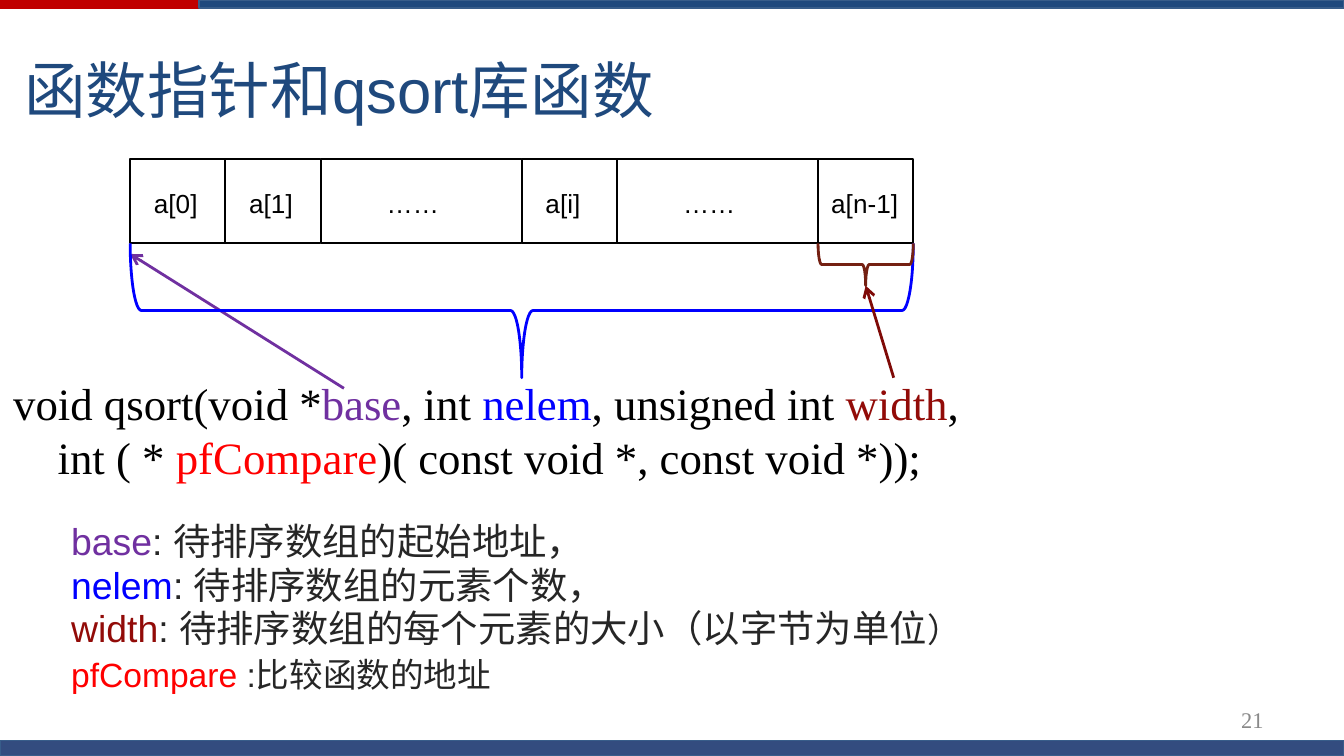
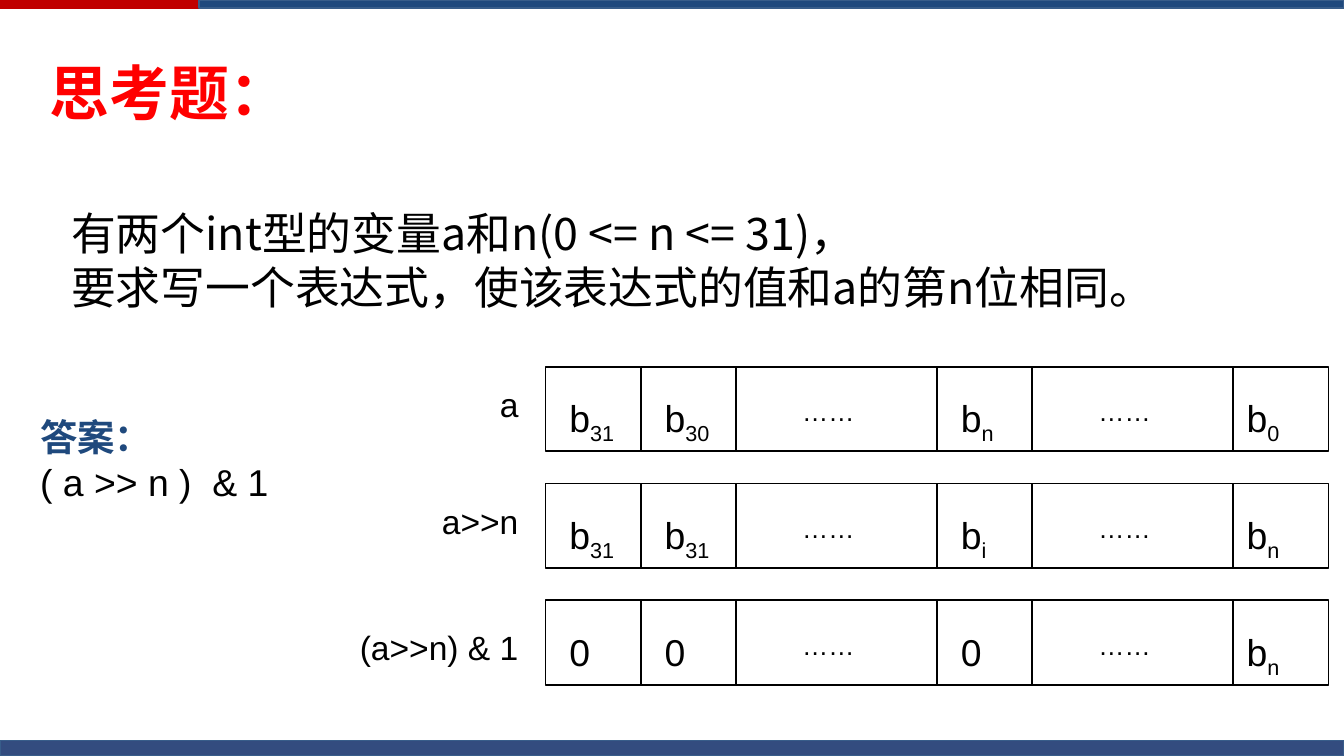
"""Build two lecture slides: qsort with function pointers, and a bit-shift exercise."""
from dataclasses import dataclass

from lxml.etree import SubElement
from pptx import Presentation
from pptx.dml.color import RGBColor
from pptx.enum.shapes import MSO_CONNECTOR as Link, MSO_SHAPE as Preset
from pptx.enum.text import MSO_ANCHOR as Anchor, MSO_AUTO_SIZE as Fit, PP_ALIGN as Align
from pptx.oxml.ns import qn
from pptx.util import Cm, Pt


@dataclass(frozen=True)
class Theme:
    navy: str = "1F497D"
    edge: str = "385D8A"
    crimson: str = "C00000"
    footer: str = "002060"
    ink: str = "000000"
    soft: str = "262626"
    grey: str = "898989"
    paper: str = "FFFFFF"
    red: str = "FF0000"
    base: str = "7030A0"
    nelem: str = "0000FF"
    width: str = "920B08"
    width_brace: str = "742012"
    width_arrow: str = "7F0A07"
    sans: str = "Arial"
    serif: str = "Times New Roman"
    cjk: str = "Noto Sans CJK SC"
    title: int = 33
    exercise: int = 32
    large: int = 24
    body: int = 20
    label: int = 18
    cell: int = 14
    page: int = 12


T = Theme()

BANDS = [
    ((0, 0, 25.4, 0.17), T.crimson, None),
    ((3.76, 0, 21.64, 0.15), T.navy, None),
    ((0, 14, 25.4, 0.29), T.footer, 80),
]

QSORT_TITLE = "函数指针和qsort库函数"
ARRAY = ["a[0]", "a[1]", "……", "a[i]", "……", "a[n-1]"]
PROTOTYPE = [
    [("void qsort(void *", T.ink), ("base", T.base), (", int ", T.ink), ("nelem", T.nelem),
     (", unsigned int ", T.ink), ("width", T.width), (",", T.ink)],
    [("int ( * ", T.ink), ("pfCompare", T.red), (")( const void *, const void *));", T.ink)],
]
PARAMETERS = [
    [("base", T.base), (": 待排序数组的起始地址，", T.soft)],
    [("nelem", T.nelem), (": 待排序数组的元素个数，", T.soft)],
    [("width", T.width), (": 待排序数组的每个元素的大小（以字节为单位", T.soft),
     ("）", T.soft, T.label)],
    [("pfCompare ", T.red, T.label), (":比较函数的地址", T.soft, T.label)],
]
PAGE = "21"

EXERCISE_TITLE = "思考题："
QUESTION = [
    [("有两个int型的变量a和n(0 <= n <= 31)，", T.ink)],
    [("要求写一个表达式，使该表达式的值和a的第n位相同。", T.ink)],
]
ANSWER_HEAD, ANSWER = "答案：", "( a >> n )  & 1"
BIT_ROWS = [
    ("a", 0.2, ["b_31", "b_30", "……", "b_n", "……", "b_0"]),
    ("a>>n", 0.2, ["b_31", "b_31", "……", "b_i", "……", "b_n"]),
    ("(a>>n) & 1", 0.38, ["0", "0", "……", "0", "……", "b_n"]),
]

CELL_WIDTH, GAP_WIDTH, CELL_HEIGHT = 1.8, 3.8, 1.6
ARRAY_LEFT, ARRAY_TOP = 2.46, 3
ARRAY_SPAN = 4 * CELL_WIDTH + 2 * GAP_WIDTH
BITS_LEFT, BITS_TOP, BITS_STEP = 10.31, 6.93, 2.21


def rgb(value):
    return RGBColor.from_string(value)


def place(shape, box):
    shape.left, shape.top, shape.width, shape.height = map(Cm, box)


def add_text(paragraph, text, color, size, font=T.sans, bold=False):
    run = paragraph.add_run()
    run.text = text
    run.font.size, run.font.bold, run.font.name = Pt(size), bold, font
    run.font.color.rgb = rgb(color)
    properties = run._r.get_or_add_rPr()
    SubElement(properties, qn("a:ea"), typeface=T.cjk)
    return properties


def setup(frame, anchor=Anchor.TOP):
    frame.word_wrap, frame.auto_size = True, Fit.NONE
    frame.vertical_anchor = anchor
    return frame


def add_box(slide, box, anchor=Anchor.TOP):
    return setup(slide.shapes.add_textbox(*map(Cm, box)).text_frame, anchor)


def write_lines(frame, lines, size, pitch, font=T.sans):
    for number, line in enumerate(lines):
        paragraph = frame.add_paragraph() if number else frame.paragraphs[0]
        paragraph.line_spacing = Pt(pitch)
        paragraph.space_before = Pt(0)
        for text, color, *own_size in line:
            add_text(paragraph, text, color, own_size[0] if own_size else size, font)


def write_title(slide, box, text, color, size, font=T.sans, bold=False):
    title = slide.shapes.title
    place(title, box)
    paragraph = setup(title.text_frame, Anchor.MIDDLE).paragraphs[0]
    paragraph.alignment = Align.LEFT
    add_text(paragraph, text, color, size, font, bold)


def write_body(slide, box, lines, size, pitch, font=T.sans):
    body = slide.placeholders[1]
    place(body, box)
    frame = setup(body.text_frame)
    write_lines(frame, lines, size, pitch, font)
    for paragraph in frame.paragraphs:
        properties = paragraph._p.get_or_add_pPr()
        properties.set("marL", "0")
        properties.set("indent", "0")
        SubElement(properties, qn("a:buNone"))


def add_block(slide, preset, box, fill=None, line=None, weight=1):
    block = slide.shapes.add_shape(preset, *map(Cm, box))
    block.shadow.inherit = False
    if fill:
        block.fill.solid()
        block.fill.fore_color.rgb = rgb(fill)
    else:
        block.fill.background()
    if line:
        block.line.color.rgb = rgb(line)
        block.line.width = Pt(weight)
    else:
        block.line.fill.background()
    return block


def add_bands(slide, master):
    for position, (box, fill, opacity) in enumerate(BANDS, start=2):
        line = None if fill == T.crimson else T.edge
        band = add_block(slide, Preset.RECTANGLE, box, fill, line, 0)
        if opacity:
            tint = band._element.spPr.find(qn("a:solidFill"))[0]
            SubElement(tint, qn("a:alpha"), val=str(opacity * 1000))
        master.shapes._spTree.insert(position, band._element)


def add_cells(slide, left, top, labels, size):
    for number, label in enumerate(labels):
        is_gap = label == "……"
        width = GAP_WIDTH if is_gap else CELL_WIDTH
        inset = 1.25 if is_gap else 0.25 if number == len(labels) - 1 else 0.45
        cell = add_block(slide, Preset.RECTANGLE, (left, top, width, CELL_HEIGHT), T.paper, T.ink)
        frame = setup(cell.text_frame)
        frame.margin_left, frame.margin_top = Cm(inset), Cm(0.54)
        frame.margin_right = frame.margin_bottom = 0
        paragraph = frame.paragraphs[0]
        paragraph.alignment = Align.LEFT
        symbol, _, index = label.partition("_")
        label_size = T.cell if is_gap else size
        add_text(paragraph, symbol, T.ink, label_size)
        if index:
            add_text(paragraph, index, T.ink, label_size).set("baseline", "-25000")
        left += width


def add_brace(slide, left, top, span, depth, color):
    box = (left + (span - depth) / 2, top + (depth - span) / 2, depth, span)
    add_block(slide, Preset.RIGHT_BRACE, box, line=color, weight=1.5).rotation = 90


def add_arrow(slide, start, end, color):
    arrow = slide.shapes.add_connector(Link.STRAIGHT, *map(Cm, start + end))
    arrow.line.color.rgb = rgb(color)
    arrow.line.width = Pt(1.5)
    SubElement(arrow.line._get_or_add_ln(), qn("a:tailEnd"), type="arrow")
    SubElement(arrow._element.spPr, qn("a:effectLst"))


def build_qsort(slide):
    write_title(slide, (0.2, 0.15, 25.2, 3.07), QSORT_TITLE, T.navy, T.title)
    prototype = add_box(slide, (0, 6.97, 21.3, 2.39))
    write_lines(prototype, PROTOTYPE, T.large, 29, T.serif)
    prototype.paragraphs[1]._p.get_or_add_pPr().set("marL", str(Cm(0.84)))

    page = add_box(slide, (18.2, 13.23, 5.93, 0.76), Anchor.MIDDLE).paragraphs[0]
    page.alignment = Align.RIGHT
    add_text(page, PAGE, T.grey, T.page, T.serif)

    add_cells(slide, ARRAY_LEFT, ARRAY_TOP, ARRAY, T.cell)
    below = ARRAY_TOP + CELL_HEIGHT
    last_left = ARRAY_LEFT + ARRAY_SPAN - CELL_WIDTH
    add_arrow(slide, (6.5, 7.34), (ARRAY_LEFT, 4.8), T.base)
    add_brace(slide, ARRAY_LEFT, below, ARRAY_SPAN, 2.54, T.nelem)
    add_brace(slide, last_left, below, CELL_WIDTH, 0.8, T.width_brace)
    add_arrow(slide, (16.89, 7.14), (last_left + CELL_WIDTH / 2, below + 0.8), T.width_arrow)
    write_body(slide, (1.09, 9.68, 19.6, 3.4), PARAMETERS, T.body, 23.5)


def build_exercise(slide):
    write_title(slide, (0.69, 0.85, 24.2, 1.75), EXERCISE_TITLE, T.red, T.exercise, T.cjk, True)
    write_body(slide, (1.09, 3.76, 23.6, 2.4), QUESTION, T.large, 29, T.cjk)
    for number, (label, drop, bits) in enumerate(BIT_ROWS):
        top = BITS_TOP + number * BITS_STEP
        add_cells(slide, BITS_LEFT, top, bits, T.body)
        caption = add_box(slide, (6, top + drop, 4.05, 1.02)).paragraphs[0]
        caption.alignment = Align.RIGHT
        add_text(caption, label, T.ink, T.label)

    answer = add_box(slide, (0.51, 7.7, 7.39, 2.1))
    add_text(answer.paragraphs[0], ANSWER_HEAD, T.navy, T.body, T.cjk, True)
    add_text(answer.add_paragraph(), ANSWER, T.ink, T.body)


def main():
    deck = Presentation()
    deck.slide_width, deck.slide_height = Cm(25.4), Cm(14.29)
    layout = deck.slide_layouts[1]
    qsort, exercise = (deck.slides.add_slide(layout) for _ in range(2))
    add_bands(qsort, deck.slide_master)
    build_qsort(qsort)
    build_exercise(exercise)
    deck.save("out.pptx")


if __name__ == "__main__":
    main()
